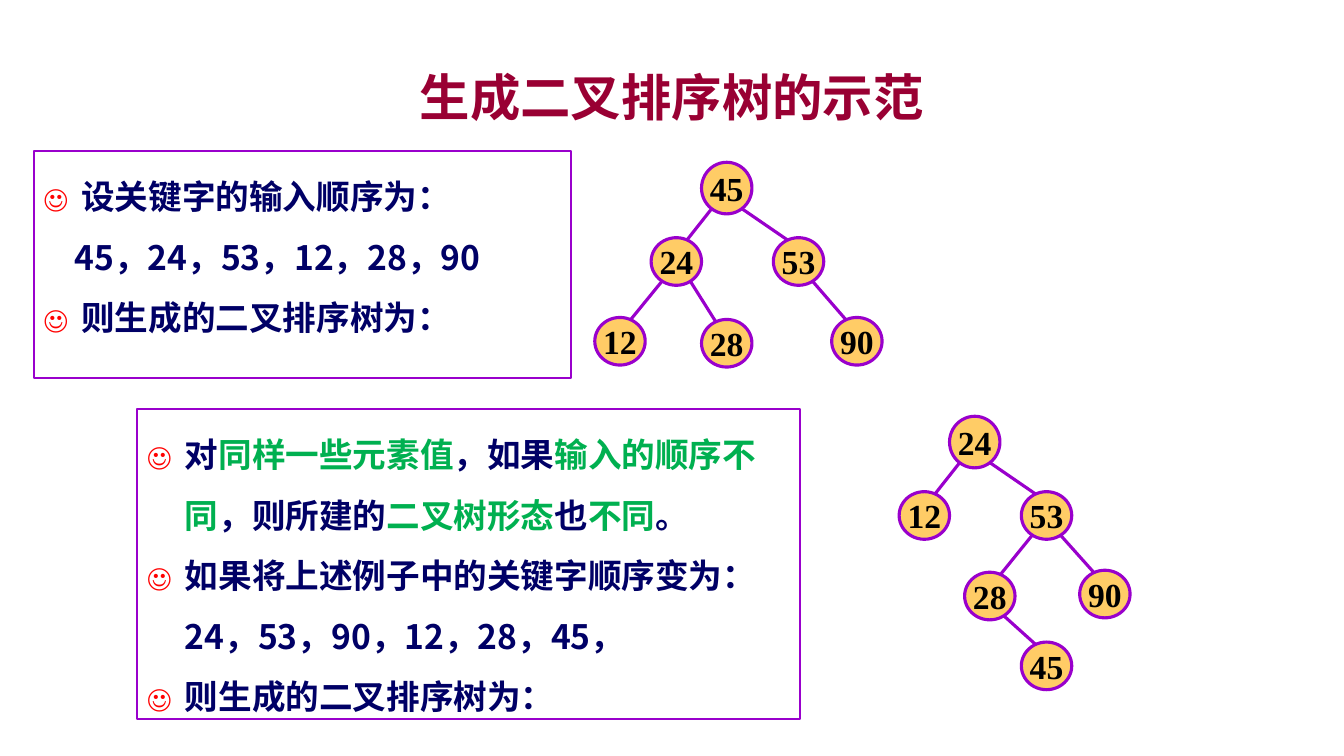
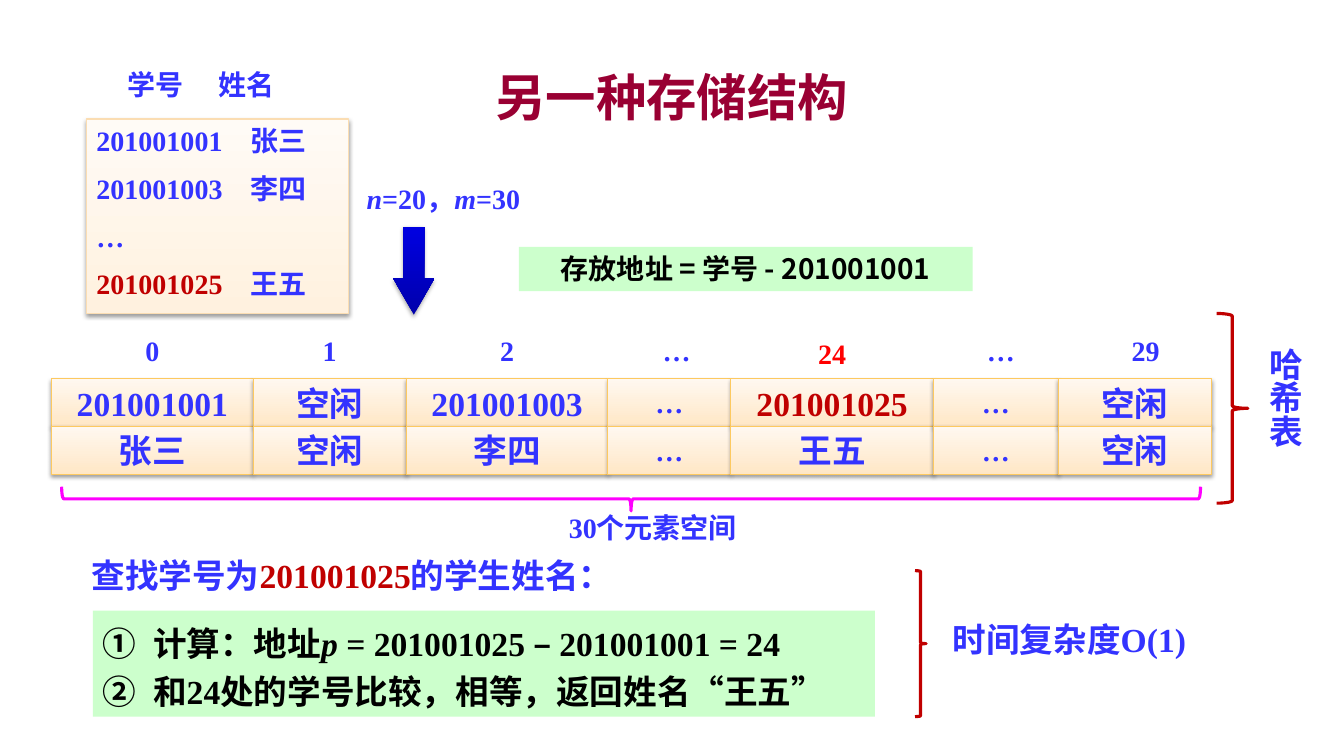
from lxml import etree
from pptx import Presentation
from pptx.dml.color import RGBColor
from pptx.enum.shapes import MSO_CONNECTOR, MSO_SHAPE
from pptx.enum.text import MSO_ANCHOR, PP_ALIGN
from pptx.oxml.ns import qn
from pptx.util import Cm, Pt

RECT, OVAL, ARROW = MSO_SHAPE.RECTANGLE, MSO_SHAPE.OVAL, MSO_SHAPE.DOWN_ARROW
LEFT_BRACE, RIGHT_BRACE = MSO_SHAPE.LEFT_BRACE, MSO_SHAPE.RIGHT_BRACE
LINE = MSO_CONNECTOR.STRAIGHT
LEFT, CENTER = PP_ALIGN.LEFT, PP_ALIGN.CENTER
TOP, MIDDLE = MSO_ANCHOR.TOP, MSO_ANCHOR.MIDDLE

SANS, SERIF = "Noto Sans CJK SC", "Times New Roman"
WINE, NAVY, BLUE, BLACK = "990033", "000066", "3333FF", "000000"
PURPLE, AMBER, RED, BRICK = "9900CC", "FFCC66", "FF0000", "C00000"
GREEN, MINT, PINK, GOLD = "00B050", "CCFFCC", "FF00FF", "FDC960"

# Content: a paragraph is a string or a list of runs,
# a run is a string or (text, changes)
G = {"hue": GREEN}
B = {"hue": BRICK}
I = {"italic": True}

TREE_TITLE = "生成二叉排序树的示范"
FIRST = ["设关键字的输入顺序为：", "45，24，53，12，28，90", "则生成的二叉排序树为："]
SECOND = [
    ["对", ("同样一些元素值", G), "，如果", ("输入的顺序不同", G), "，则所建的",
     ("二叉树形态", G), "也", ("不同", G), "。"],
    "如果将上述例子中的关键字顺序变为：24，53，90，12，28，45，",
    "则生成的二叉排序树为：",
]
# key: (centre x, centre y, parent)
TREES = [
    {"45": (18.31, 4.74, None), "24": (17.04, 6.59, "45"), "53": (20.12, 6.59, "45"),
     "12": (15.62, 8.6, "24"), "28": (18.31, 8.65, "24"), "90": (21.59, 8.6, "53")},
    {"24": (24.56, 11.14, None), "12": (23.29, 12.99, "24"), "53": (26.37, 12.99, "24"),
     "28": (24.94, 15.02, "53"), "90": (27.84, 14.97, "53"), "45": (26.37, 16.78, "28")},
]

HASH_TITLE = "另一种存储结构"
ROSTER = ["201001001　张三", "201001003　李四", "…", [("201001025", B), "　王五"]]
SIZES = [[("n", I), "=20，", ("m", I), "=30"]]
QUERY = [["查找学号为", ("201001025", B), "的学生姓名："]]
STEPS = [
    ["计算：地址", ("p ", I), "= 201001025 ", ("– ", {"face": SANS}), "201001001 = 24"],
    "和24处的学号比较，相等，返回姓名“王五”",
]
# index, label shift, width, key, name
SLOTS = [
    ("0", 0, 5.08, "201001001", "张三"),
    ("1", 0, 3.86, "空闲", "空闲"),
    ("2", 0, 5.08, "201001003", "李四"),
    ("…", 0.18, 3.1, "…", "…"),
    ("24", 0, 5.1, "201001025", "王五"),
    ("…", 0.13, 3.15, "…", "…"),
    ("29", 0.27, 3.86, "空闲", "空闲"),
]
HIT = "24"


def color(code):
    return RGBColor.from_string(code)


def sub(node, tag, **attrs):
    child = etree.SubElement(node, qn(tag))
    for name, value in attrs.items():
        child.set(name, str(value))
    return child


# Text
def style(run, size, hue, face=SERIF, italic=False):
    font = run.font
    font.size, font.bold, font.italic = Pt(size), True, italic
    font.name = face
    font.color.rgb = color(hue)
    sub(font._element, "a:ea", typeface=SANS)


def write(shape, paras, size, hue, face=SERIF, align=LEFT, anchor=TOP,
          gap=0, lines=None, wrap=True):
    frame = shape.text_frame
    frame.word_wrap, frame.vertical_anchor = wrap, anchor
    for i, para in enumerate(paras):
        p = frame.add_paragraph() if i else frame.paragraphs[0]
        p.alignment = align
        if gap and i:
            p.space_before = Pt(gap)
        if lines:
            p.line_spacing = lines
        for part in [para] if isinstance(para, str) else para:
            text, change = (part, {}) if isinstance(part, str) else part
            run = p.add_run()
            run.text = text
            style(run, **{"size": size, "hue": hue, "face": face, **change})
    return shape


def label(slide, at, paras, size, hue=BLUE, **kw):
    return write(slide.shapes.add_textbox(*map(Cm, at)), paras, size, hue, **kw)


def indent(para, left, hang):
    props = para._p.get_or_add_pPr()
    props.set("marL", str(Cm(left)))
    props.set("indent", str(-Cm(hang)))
    return props


def smile(para):
    props = indent(para, 0.95, 0.95)
    # Keep punctuation inside the box
    props.set("hangingPunct", "0")
    sub(sub(props, "a:buClr"), "a:srgbClr", val=RED)
    sub(props, "a:buSzPct", val=80000)
    sub(props, "a:buFont", typeface=SANS)
    sub(props, "a:buChar", char="☺")


# Shapes
def draw(slide, kind, at, fill=None, line=None, width=0.75, shade=0):
    shape = slide.shapes.add_shape(kind, *map(Cm, at))
    shape.shadow.inherit = False
    if isinstance(fill, tuple):
        shape.fill.gradient()
        shape.fill.gradient_angle = 90
        for stop, code in zip(shape.fill.gradient_stops, fill):
            stop.color.rgb = color(code)
    elif fill:
        shape.fill.solid()
        shape.fill.fore_color.rgb = color(fill)
    else:
        shape.fill.background()
    if line:
        shape.line.color.rgb = color(line)
        shape.line.width = Pt(width)
    else:
        shape.line.fill.background()
    if shade:
        glow = sub(shape._element.spPr.find(qn("a:effectLst")), "a:outerShdw",
                   blurRad=Pt(3.1), dist=Pt(1.6), dir=5400000, rotWithShape=0)
        sub(sub(glow, "a:srgbClr", val=BLACK), "a:alpha", val=shade * 1000)
    return shape


def start(deck, title):
    slide = deck.slides.add_slide(deck.slide_layouts[6])
    label(slide, (2.54, 1.47, 28.78, 1.91), [title], 36, WINE, face=SANS,
          align=CENTER, anchor=MIDDLE)
    return slide


def plant(slide, tree):
    # Edges leave the lower rim of the parent and reach the upper rim of the child
    for x, y, up in tree.values():
        if up:
            px, py, _ = tree[up]
            side = 1 if x > px else -1
            ends = (px + side * 0.36, py + 0.5, x - side * 0.27, y - 0.54)
            edge = slide.shapes.add_connector(LINE, *map(Cm, ends))
            edge.line.color.rgb = color(PURPLE)
            edge.line.width = Pt(2.25)
            sub(edge._element.spPr, "a:effectLst")
    for key, (x, y, up) in tree.items():
        high = 1.2 if up else 1.3
        node = draw(slide, OVAL, (x - 0.63, y - high / 2, 1.27, high),
                    AMBER, PURPLE, 2.25)
        write(node, [key], 24, BLACK, align=CENTER, anchor=MIDDLE, wrap=False)


def tree_slide(deck):
    slide = start(deck, TREE_TITLE)
    for at, paras in [((0.85, 3.81, 13.54, 5.72), FIRST),
                      ((3.46, 10.31, 16.71, 7.82), SECOND)]:
        box = draw(slide, RECT, at, line=PURPLE, width=1.5)
        write(box, paras, 24, NAVY, face=SANS, lines=1.5)
        for para in box.text_frame.paragraphs:
            if para.text == FIRST[1]:
                indent(para, 0.78, 0)
                box.text_frame.margin_right = 0
            else:
                smile(para)
    for tree in TREES:
        plant(slide, tree)


def hash_slide(deck):
    slide = start(deck, HASH_TITLE)

    # Roster and the rule for addresses
    label(slide, (2.97, 1.57, 5.41, 1.12), ["学号　 姓名"], 20, face=SANS)
    card = draw(slide, RECT, (2.18, 3, 6.6, 4.9), ("FFF1DF", "FFFBF6"), "FBDDB2", shade=38)
    write(card, ROSTER, 20, BLUE, gap=10)
    label(slide, (8.99, 4.45, 7.01, 1.09), SIZES, 20)
    arrow = draw(slide, ARROW, (9.91, 5.72, 1.04, 2.21), ("0000AC", "0000E1"), shade=35)
    arrow.adjustments[1] = 0.88
    rule = draw(slide, RECT, (13.08, 6.22, 11.43, 1.12), MINT)
    write(rule, ["存放地址 = 学号 - 201001001"], 20, BLACK, face=SANS, align=CENTER)

    # Hash table
    x, top, high = 1.3, 9.55, 1.2
    for index, shift, wide, key, name in SLOTS:
        hit = index == HIT
        for row, text in enumerate((key, name)):
            cell = draw(slide, RECT, (x, top + row * high, wide, high),
                        ("FFE7C6", "FFF8F0"), GOLD, shade=38)
            write(cell, [text], 20 if text == "…" else 24,
                  BRICK if hit and row == 0 else BLUE, align=CENTER, anchor=MIDDLE)
        label(slide, (x + wide / 2 + shift - 1, 8.36 if hit else 8.28, 2, 1), [index], 20,
              RED if hit else BLUE, align=CENTER)
        x += wide

    # Braces and their captions
    draw(slide, RIGHT_BRACE, (30.66, 7.9, 0.79, 4.78), line=BRICK, width=2.25)
    side = label(slide, (31.47, 8.51, 1.55, 3.58), ["哈希表"], 24, face=SANS, align=CENTER)
    side.text_frame._txBody.bodyPr.set("vert", "eaVert")
    brace = draw(slide, LEFT_BRACE, (15.6, -1.78, 0.61, 28.7), line=PINK, width=2.25)
    brace.rotation = 270
    label(slide, (13.08, 12.75, 6.91, 1.12), ["30个元素空间 "], 20, align=CENTER)

    # Lookup
    label(slide, (2.06, 13.87, 21.82, 1.27), QUERY, 24)
    steps = draw(slide, RECT, (2.34, 15.39, 19.71, 2.67), MINT)
    write(steps, STEPS, 24, BLACK, lines=Pt(34))
    for para in steps.text_frame.paragraphs:
        sub(indent(para, 1.27, 1.27), "a:buAutoNum", type="circleNumDbPlain")
    draw(slide, RIGHT_BRACE, (23.06, 14.38, 0.28, 3.68), line=BRICK, width=2.25)
    label(slide, (22.58, 15.47, 8.74, 2.31), ["时间复杂度O(1)"], 24, align=CENTER)


def main():
    deck = Presentation()
    deck.slide_width, deck.slide_height = Cm(33.87), Cm(19.05)
    tree_slide(deck)
    hash_slide(deck)
    deck.save("out.pptx")


if __name__ == "__main__":
    main()
